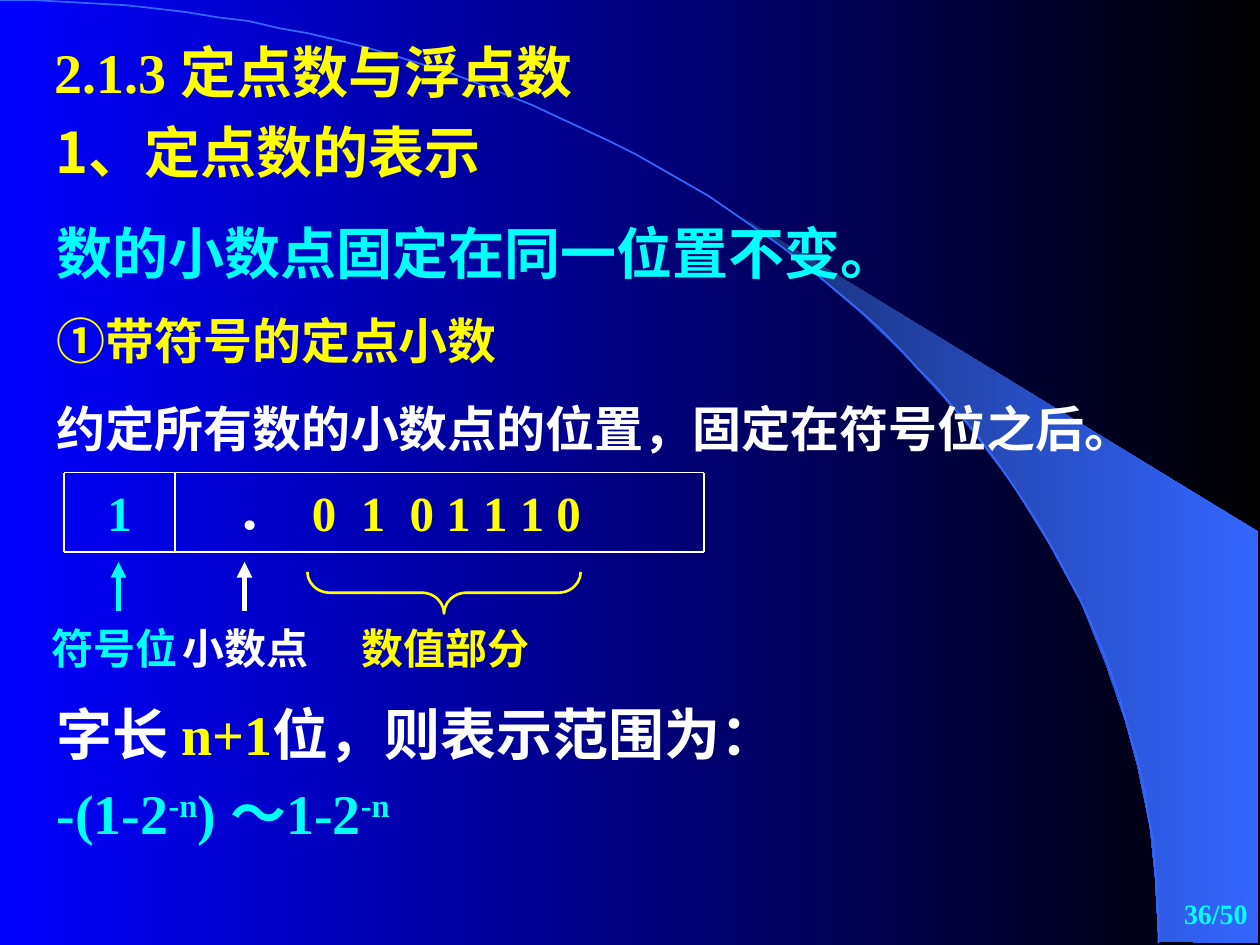
from lxml.etree import SubElement
from pptx import Presentation
from pptx.dml.color import RGBColor
from pptx.enum.shapes import MSO_CONNECTOR as CONNECTOR, MSO_SHAPE as SHAPE
from pptx.enum.text import MSO_ANCHOR as ANCHOR, PP_ALIGN as ALIGN
from pptx.oxml.ns import qn
from pptx.util import Pt

BLUE = RGBColor(0x00, 0x00, 0xFF)
BLACK = RGBColor(0x00, 0x00, 0x00)
NAVY = RGBColor(0x18, 0x2F, 0x76)
SKY = RGBColor(0x33, 0x66, 0xFF)
YELLOW = RGBColor(0xFF, 0xFF, 0x00)
CYAN = RGBColor(0x00, 0xFF, 0xFF)
WHITE = RGBColor(0xFF, 0xFF, 0xFF)
SANS = "Noto Sans CJK SC"
SERIF = "Times New Roman"


def add_box(left, top, width, height, inset=(7.2, 3.6), anchor=ANCHOR.TOP, align=ALIGN.LEFT, spacing=1.0):
    frame = page.shapes.add_textbox(Pt(left), Pt(top), Pt(width), Pt(height)).text_frame
    frame.word_wrap = True
    frame.vertical_anchor = anchor
    frame.margin_left = frame.margin_right = Pt(inset[0])
    frame.margin_top = frame.margin_bottom = Pt(inset[1])
    para = frame.paragraphs[0]
    para.alignment = align
    para.line_spacing = spacing
    return frame


def write(para, text, size=32, color=CYAN, font=SERIF, raised=False):
    span = para.add_run()
    span.text = text
    span.font.size = Pt(size)
    span.font.bold = True
    span.font.color.rgb = color
    span.font.name = font
    properties = span.font._element
    SubElement(properties, qn("a:ea")).set("typeface", SANS)
    if raised:
        properties.set("baseline", "30000")


deck = Presentation()
deck.slide_width, deck.slide_height = Pt(720), Pt(540)
page = deck.slides.add_slide(deck.slide_layouts[6])

swoosh_points = [
    (662.4, 538.5), (719.3, 539.3), (719.3, 304.5), (424, 124.5), (449.3, 143.3),
    (470, 160), (493, 180), (515.5, 201.5), (548.6, 237.6), (578, 276.5),
    (599, 310.3), (617.8, 345), (632, 380), (643, 412), (650, 438.5),
    (657.4, 472.3), (660.2, 501), (662.4, 538.5),
]
builder = page.shapes.build_freeform(*swoosh_points[0], scale=Pt(1))
builder.add_line_segments(swoosh_points[1:], close=True)
swoosh = builder.convert_to_shape()
swoosh.shadow.inherit = False
swoosh.line.fill.background()

for fill, colors in ((page.background.fill, (BLUE, BLACK)), (swoosh.fill, (NAVY, SKY))):
    fill.gradient()
    fill.gradient_angle = 0
    for stop, color in zip(fill.gradient_stops, colors):
        stop.color.rgb = color

arc_points = []
for step in range(1, 61):
    t = step / 60
    x = 3 * (1 - t) ** 2 * t * 365.8 + (3 * (1 - t) * t ** 2 + t ** 3) * 662.4
    y = 3 * (1 - t) * t ** 2 * 241.2 + t ** 3 * 539.3
    arc_points.append((x, y))
builder = page.shapes.build_freeform(0, 0, scale=Pt(1))
builder.add_line_segments(arc_points, close=False)
arc = builder.convert_to_shape()
arc.shadow.inherit = False
arc.fill.background()
arc.line.color.rgb = SKY
arc.line.width = Pt(1)

heading = add_box(24.5, 71.3, 314, 39.6, spacing=0.8)
write(heading.paragraphs[0], "1、定点数的表示", color=YELLOW, font=SANS)
title = add_box(23.8, 18, 672.5, 48.2)
write(title.paragraphs[0], "2.1.3 定点数与浮点数", color=YELLOW)

sign_x, point_x = 67.7, 139.7
left, divider, right, top, bottom = 36.7, 100, 402.5, 270, 315.4

digits = add_box(divider, top, 248.4, bottom - top, anchor=ANCHOR.MIDDLE)
digits.margin_left = Pt(35.2)
para = digits.paragraphs[0]
tabs = SubElement(para._p.get_or_add_pPr(), qn("a:tabLst"))
SubElement(tabs, qn("a:tab"), pos=str(Pt(43)), algn="l")
write(para, "．\t", size=28, color=WHITE)
write(para, "0  1  0 1 1 1 0", size=28, color=YELLOW)
sign = add_box(left, top, divider - left, bottom - top, anchor=ANCHOR.MIDDLE, align=ALIGN.CENTER)
write(sign.paragraphs[0], "1", size=28)

lines = [(x, top, x, bottom, WHITE, 1) for x in (left, right, divider)]
lines += [(left, y, right, y, WHITE, 1) for y in (top, bottom)]
lines += [(sign_x, 349.2, sign_x, 321.1, CYAN, 3), (point_x, 349.2, point_x, 321.1, WHITE, 3)]
for x1, y1, x2, y2, color, width in lines:
    line = page.shapes.add_connector(CONNECTOR.STRAIGHT, Pt(x1), Pt(y1), Pt(x2), Pt(y2))
    line.line.color.rgb = color
    line.line.width = Pt(width)
    if width == 3:
        SubElement(line.line._get_or_add_ln(), qn("a:tailEnd"), type="triangle")
    SubElement(line._element.spPr, qn("a:effectLst"))

brace = page.shapes.add_shape(SHAPE.LEFT_BRACE, Pt(241.9), Pt(260.6), Pt(23.8), Pt(156.2))
brace.rotation = 270
brace.adjustments[0] = 0.54
brace.shadow.inherit = False
brace.fill.background()
brace.line.color.rgb = YELLOW
brace.line.width = Pt(1.5)

for text, x, width, color in (
    ("数值部分", 181.4, 146.2, YELLOW),
    ("符号位", 21.6, 87.8, CYAN),
    ("小数点", 96.5, 87.8, WHITE),
):
    label = add_box(x, 355, width, 41.8, inset=(0, 0.7), align=ALIGN.CENTER)
    write(label.paragraphs[0], text, size=24, color=color)

statement = add_box(25.2, 111.6, 504.7, 55.4, spacing=1.25)
write(statement.paragraphs[0], "数的小数点固定在同一位置不变。", font=SANS)

rule = add_box(25.2, 157, 646.6, 108, spacing=1.5)
write(rule.paragraphs[0], "①带符号的定点小数", size=28, color=YELLOW, font=SANS)
para = rule.add_paragraph()
para.line_spacing = 1.5
write(para, "约定所有数的小数点的位置，固定在符号位之后。", size=28, color=WHITE)

para = add_box(25.2, 400.3, 527, 41.8, spacing=0.9).paragraphs[0]
for text, color in (("字长 ", WHITE), ("n+1", YELLOW), ("位，则表示范围为：", WHITE)):
    write(para, text, color=color)

para = add_box(25.2, 445.7, 238.3, 41.8, spacing=0.9).paragraphs[0]
for text in ("-(1-2", "-n", ") ～1-2", "-n"):
    write(para, text, raised=text == "-n")

number = add_box(570.2, 504, 149.8, 36, anchor=ANCHOR.MIDDLE, align=ALIGN.RIGHT)
write(number.paragraphs[0], "36/50", size=16)

deck.save("out.pptx")
